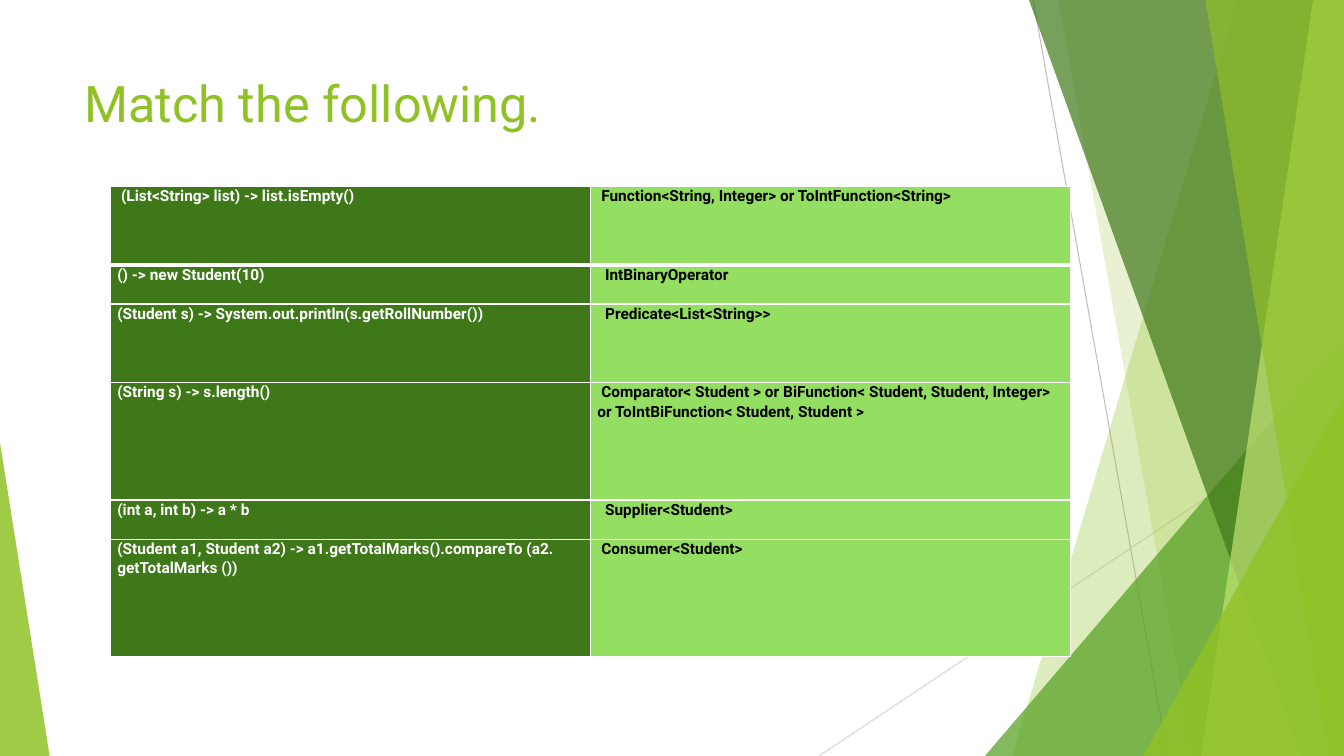
from lxml import etree
from pptx import Presentation
from pptx import util as u
from pptx.dml.color import RGBColor
from pptx.enum import shapes, text
from pptx.oxml import ns

LIME = RGBColor(0x90, 0xC2, 0x26)
GREEN = RGBColor(0x54, 0xA0, 0x21)
DARK = RGBColor(0x3F, 0x78, 0x19)
PALE = RGBColor(0xC0, 0xE4, 0x74)
LIGHT = RGBColor(0x94, 0xDE, 0x61)
GREY = RGBColor(0xBF, 0xBF, 0xBF)
SILVER = RGBColor(0xD9, 0xD9, 0xD9)
WHITE = RGBColor(0xFF, 0xFF, 0xFF)
BLACK = RGBColor(0, 0, 0)

WIDE, HIGH = 960, 540
UNIT = 28    # height of a one-unit table row
SPACE = 2.7  # one step of first-line indent

# Left text, right text, height in units, indent steps left and right
ROWS = [
    ("(List<String> list) -> list.isEmpty()",
     "Function<String, Integer> or ToIntFunction<String>", 2, 1, 1),
    ("() -> new Student(10)", "IntBinaryOperator", 1, 0, 2),
    ("(Student s) -> System.out.println(s.getRollNumber())",
     "Predicate<List<String>>", 2, 0, 2),
    ("(String s) -> s.length()",
     "Comparator< Student > or BiFunction< Student, Student, Integer> "
     "or ToIntBiFunction< Student, Student >", 3, 0, 1),
    ("(int a, int b) -> a * b", "Supplier<Student>", 1, 0, 2),
    ("(Student a1, Student a2) -> a1.getTotalMarks().compareTo "
     "(a2. getTotalMarks ())", "Consumer<Student>", 3, 0, 1),
]


class Page:
    """Holds the style and the current slide."""

    def __init__(self, slide, font):
        self.items = slide.shapes
        self.font = font

    def line(self, x1, y1, x2, y2, color):
        line = self.items.add_connector(
            shapes.MSO_CONNECTOR.STRAIGHT, *map(u.Pt, (x1, y1, x2, y2)))
        line.line.color.rgb = color
        line.line.width = u.Pt(0.75)
        etree.SubElement(line._element.spPr, ns.qn("a:effectLst"))

    def paint(self, shape, color, alpha):
        shape.shadow.inherit = False
        shape.fill.solid()
        shape.fill.fore_color.rgb = color
        shape.line.fill.background()
        tone = shape._element.spPr.find(".//" + ns.qn("a:srgbClr"))
        etree.SubElement(tone, ns.qn("a:alpha"), val=str(alpha * 1000))

    def pane(self, top, foot, color, alpha):
        """Fill from a slanted edge to the right side of the slide."""
        form = self.items.build_freeform(u.Pt(top), 0)
        form.add_line_segments(
            [(u.Pt(x), u.Pt(y)) for x, y in
             ((WIDE, 0), (WIDE, HIGH), (foot, HIGH))], close=True)
        self.paint(form.convert_to_shape(), color, alpha)

    def wedge(self, x, y, width, peak, color, alpha):
        """Triangle that stands on the bottom of the slide."""
        shape = self.items.add_shape(
            shapes.MSO_SHAPE.ISOSCELES_TRIANGLE,
            *map(u.Pt, (x, y, width, HIGH - y)))
        shape.adjustments[0] = peak
        self.paint(shape, color, alpha)

    def words(self, para, line, size, color, bold=False):
        run = para.add_run()
        run.text = line
        run.font.name = self.font
        run.font.size = u.Pt(size)
        run.font.bold = bold
        run.font.color.rgb = color

    def title(self, line, x, y, width, height):
        frame = self.items.add_textbox(
            *map(u.Pt, (x, y, width, height))).text_frame
        frame.word_wrap = True
        frame.vertical_anchor = text.MSO_ANCHOR.TOP
        self.words(frame.paragraphs[0], line, 36, LIME)

    def edge(self, cell, sides):
        """Draw white borders, with a width in points for each side."""
        props = cell._tc.get_or_add_tcPr()
        for place, (side, width) in enumerate(sides.items()):
            line = etree.Element(ns.qn("a:ln" + side), w=str(u.Pt(width)))
            fill = etree.SubElement(line, ns.qn("a:solidFill"))
            etree.SubElement(fill, ns.qn("a:srgbClr"), val=str(WHITE))
            props.insert(place, line)

    def cell(self, cell, line, steps, fill, color):
        cell.fill.solid()
        cell.fill.fore_color.rgb = fill
        cell.margin_left = cell.margin_right = u.Pt(5)
        cell.margin_top = cell.margin_bottom = 0
        para = cell.text_frame.paragraphs[0]
        para.line_spacing = 1.07
        props = para._p.get_or_add_pPr()
        props.set("marL", "0")
        props.set("indent", str(u.Pt(steps * SPACE)))
        self.words(para, line, 11, color, True)

    def table(self, rows, x, y, width):
        height = UNIT * sum(row[2] for row in rows)
        grid = self.items.add_table(
            len(rows), 2, *map(u.Pt, (x, y, width, height))).table
        for r, (left, right, units, *steps) in enumerate(rows):
            grid.rows[r].height = u.Pt(units * UNIT)
            self.cell(grid.cell(r, 0), left, steps[0], DARK, WHITE)
            self.cell(grid.cell(r, 1), right, steps[1], LIGHT, BLACK)
            for c in range(2):
                self.edge(grid.cell(r, c), {
                    "L": 1, "R": 1,
                    "T": 3 if r == 1 else 1, "B": 3 if r == 0 else 1})


def main():
    deck = Presentation()
    deck.slide_width, deck.slide_height = u.Pt(WIDE), u.Pt(HIGH)
    page = Page(deck.slides.add_slide(deck.slide_layouts[6]), "Roboto")

    # Thin lines behind the panes
    page.line(738, 0, 834, HIGH, GREY)
    page.line(WIDE, 290, 585, HIGH, SILVER)

    # Green panes and wedges, back to front
    page.pane(884, 723, LIME, 30)
    page.pane(756, 852, LIME, 20)
    page.wedge(703.5, 240, 256.5, 1, GREEN, 72)
    page.pane(735, 929.5, DARK, 70)
    page.pane(938, 858, PALE, 70)
    page.pane(861, 949, LIME, 65)
    page.wedge(816.5, 283, 143.5, 1, LIME, 80)
    page.wedge(0, 316, 35.5, 0, LIME, 85)

    # Title and matching table
    page.title("Match the following.", 53.3, 48, 677, 104)
    page.table(ROWS, 78.8, 133.2, 686)

    deck.save("out.pptx")


if __name__ == "__main__":
    main()
